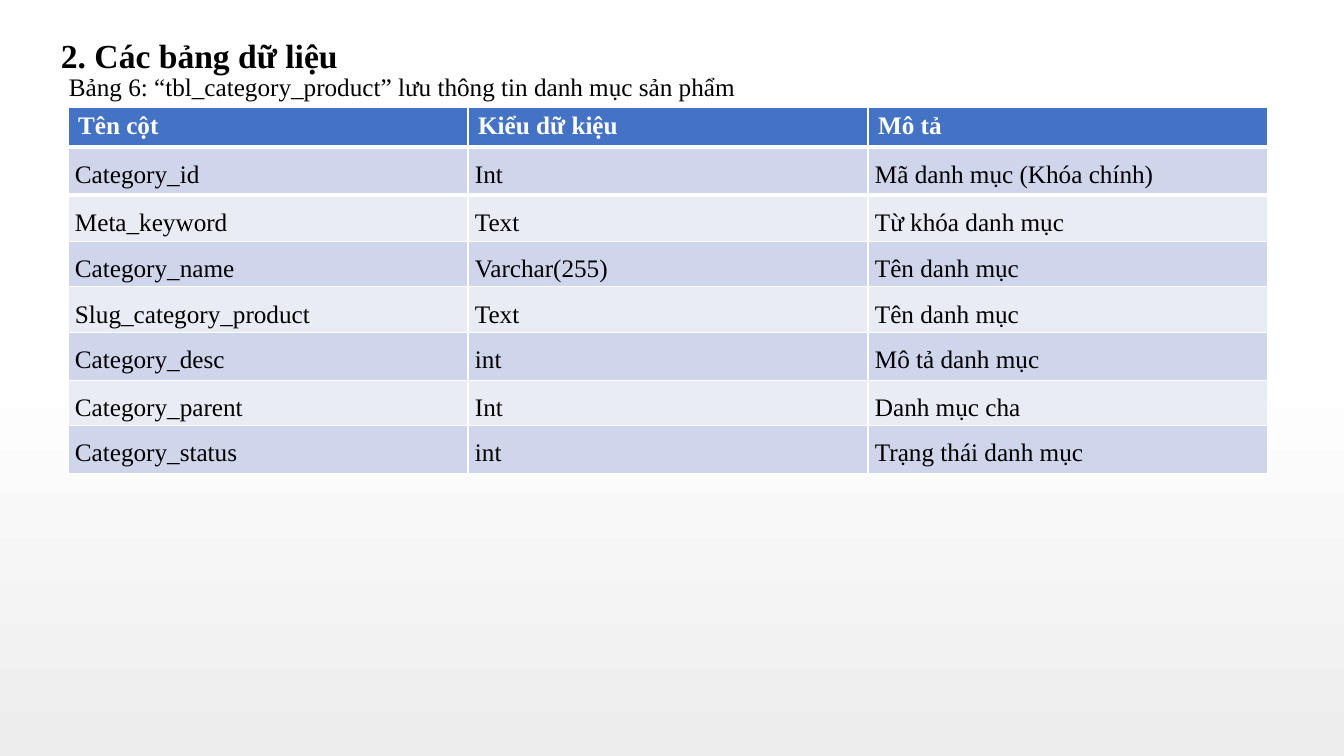
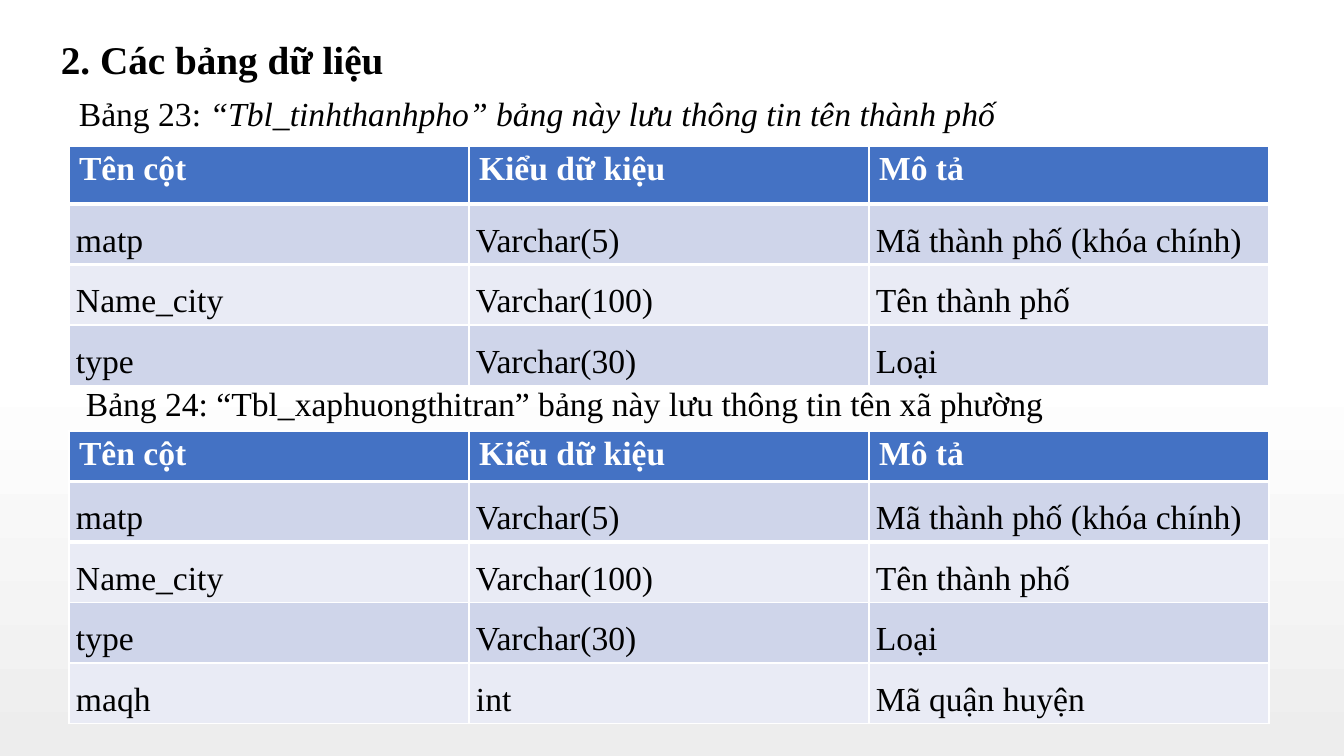
from dataclasses import dataclass

from lxml import etree
from pptx import Presentation
from pptx.dml.color import RGBColor
from pptx.enum.text import MSO_AUTO_SIZE
from pptx.oxml.ns import qn
from pptx.util import Pt

FIT_SHAPE = MSO_AUTO_SIZE.SHAPE_TO_FIT_TEXT
EMU_PER_PX = 914400 / 100.8


@dataclass(frozen=True)
class Theme:
    font: str = "Times New Roman"
    text: str = "000000"
    header_text: str = "FFFFFF"
    header_fill: str = "4472C4"
    header_rule: str = "FFFFFF"
    row_fills: tuple = ("CFD5EA", "E9EBF5")
    background: tuple = ((0.48, "FFFFFF"), (1, "EDEDED"))
    small: int = 18
    medium: int = 24
    large: int = 28
    header_rule_width: int = 3


theme = Theme()
HEADING = "2. Các bảng dữ liệu"
COLUMNS = ("Tên cột", "Kiểu dữ kiệu", "Mô tả")
COLUMN_WIDTH = 400
BODY_INDENT = 7
BODY_MARGINS = {"margin_left": round(BODY_INDENT * EMU_PER_PX),
                "margin_right": 0, "margin_top": 0, "margin_bottom": 0}
# The rule under the header is the lower edge of row 0 and the upper edge of row 1
HEADER_RULE_EDGES = {0: "a:lnB", 1: "a:lnT"}

CITY_ROWS = [
    ("matp", "Varchar(5)", "Mã thành phố (khóa chính)"),
    ("Name_city", "Varchar(100)", "Tên thành phố"),
    ("type", "Varchar(30)", "Loại"),
]

# Boxes are left, top, width, height; each caption run is (text, italic)
SLIDES = [
    {
        "heading_size": theme.medium,
        "heading_box": (51, 30, 982, 50),
        "size": theme.small,
        "tables": [{
            "caption": [("Bảng 6: “tbl_category_product” lưu thông tin danh mục sản phẩm", False)],
            "caption_box": (59, 66, 1048, 40),
            "origin": (68, 107),
            "heights": [40, 48, 46, 45, 45, 48, 45, 48],
            "rows": [
                ("Category_id", "Int", "Mã danh mục (Khóa chính)"),
                ("Meta_keyword", "Text", "Từ khóa danh mục"),
                ("Category_name", "Varchar(255)", "Tên danh mục"),
                ("Slug_category_product", "Text", "Tên danh mục"),
                ("Category_desc", "int", "Mô tả danh mục"),
                ("Category_parent", "Int", "Danh mục cha"),
                ("Category_status", "int", "Trạng thái danh mục"),
            ],
        }],
    },
    {
        "heading_size": theme.large,
        "heading_box": (51, 30, 982, 57),
        "size": theme.medium,
        "tables": [
            {
                "caption": [("Bảng 23: ", False),
                            ("“Tbl_tinhthanhpho” bảng này lưu thông tin tên thành phố", True)],
                "caption_box": (69, 88, 1207, 50),
                "origin": (69, 146),
                "heights": [58] + [60] * 3,
                "rows": CITY_ROWS,
            },
            {
                "caption": [("Bảng 24: “Tbl_xaphuongthitran” bảng này lưu thông tin "
                             "tên xã phường", False)],
                "caption_box": (76, 378, 1207, 50),
                "origin": (69, 431),
                "heights": [50] + [60] * 4,
                "rows": CITY_ROWS + [("maqh", "int", "Mã quận huyện")],
            },
        ],
    },
]


def add_run(paragraph, text, size, color=theme.text, **formats):
    run = paragraph.add_run()
    run.text = text
    for name, value in {"name": theme.font, "size": Pt(size), **formats}.items():
        setattr(run.font, name, value)
    run.font.color.rgb = RGBColor.from_string(color)


def add_text_paragraph(slide, box):
    shape = slide.shapes.add_textbox(*(round(length * EMU_PER_PX) for length in box))
    shape.text_frame.word_wrap = True
    shape.text_frame.auto_size = FIT_SHAPE
    return shape.text_frame.paragraphs[0]


presentation = Presentation()
presentation.slide_width = round(1344 * EMU_PER_PX)
presentation.slide_height = round(756 * EMU_PER_PX)

# Shared background: white fading to grey at the bottom
background = presentation.slide_master.background.fill
background.gradient()
background.gradient_angle = 270
for stop, (position, color) in zip(background.gradient_stops, theme.background):
    stop.position = position
    stop.color.rgb = RGBColor.from_string(color)

for content in SLIDES:
    slide = presentation.slides.add_slide(presentation.slide_layouts[6])

    # Heading
    paragraph = add_text_paragraph(slide, content["heading_box"])
    add_run(paragraph, HEADING, content["heading_size"], bold=True)

    for entry in content["tables"]:
        # Table
        rows = [COLUMNS] + entry["rows"]
        box = (*entry["origin"], COLUMN_WIDTH * len(COLUMNS), sum(entry["heights"]))
        table = slide.shapes.add_table(
            len(rows), len(COLUMNS), *(round(length * EMU_PER_PX) for length in box)).table
        for row_index, (row, height) in enumerate(zip(rows, entry["heights"])):
            table.rows[row_index].height = round(height * EMU_PER_PX)
            is_header = row_index == 0
            fill = theme.header_fill if is_header else theme.row_fills[(row_index - 1) % 2]
            for column_index, text in enumerate(row):
                cell = table.cell(row_index, column_index)
                cell.fill.solid()
                cell.fill.fore_color.rgb = RGBColor.from_string(fill)
                paragraph = cell.text_frame.paragraphs[0]
                if not is_header:
                    paragraph.line_spacing = 1.5
                    for name, value in BODY_MARGINS.items():
                        setattr(cell, name, value)
                add_run(paragraph, text, content["size"],
                        theme.header_text if is_header else theme.text, bold=is_header)

                # Thick rule under the header
                if row_index in HEADER_RULE_EDGES:
                    rule = etree.Element(qn(HEADER_RULE_EDGES[row_index]),
                                         w=str(Pt(theme.header_rule_width)))
                    rule_fill = etree.SubElement(rule, qn("a:solidFill"))
                    etree.SubElement(rule_fill, qn("a:srgbClr"), val=theme.header_rule)
                    cell._tc.get_or_add_tcPr().insert(0, rule)

        # Caption, in front of the table
        paragraph = add_text_paragraph(slide, entry["caption_box"])
        for text, italic in entry["caption"]:
            add_run(paragraph, text, content["size"], italic=italic)

presentation.save("out.pptx")
